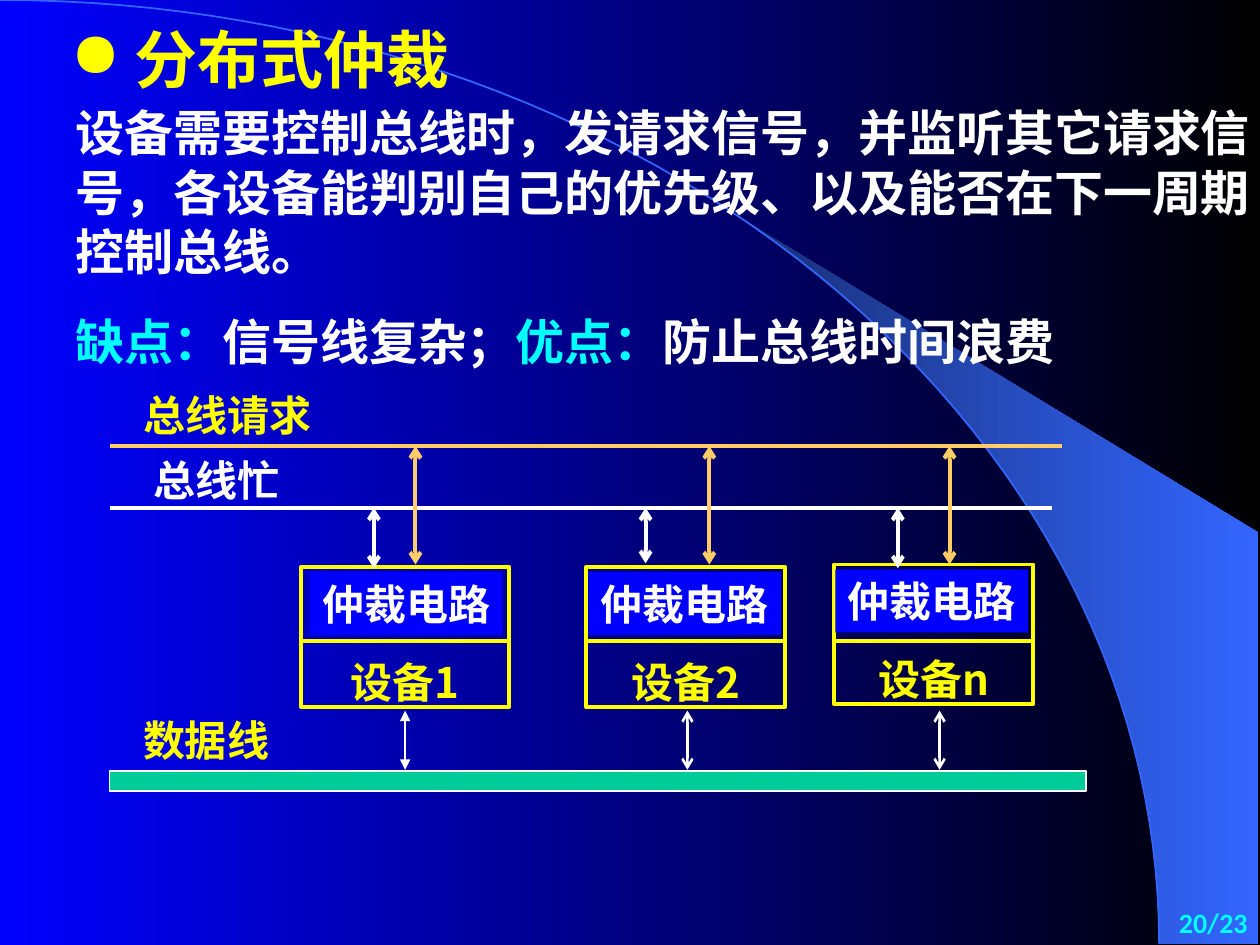
import math
from dataclasses import dataclass

from lxml import etree
from pptx import Presentation
from pptx import util as u
from pptx.dml.color import RGBColor
from pptx.enum import shapes, text
from pptx.oxml import ns

COLORS = {
    "blue": "0000FF", "black": "000000", "navy": "182F76", "sky": "3366FF",
    "yellow": "FFFF00", "white": "FFFFFF", "cyan": "00FFFF",
    "orange": "FFCC66", "green": "00CC99",
}
SANS, SERIF, LATIN = "Noto Sans CJK SC", "Times New Roman", "Calibri"
COLUMNS, ROWS = 100, 75
SLIDE_W, SLIDE_H = u.Inches(10), u.Inches(7.5)
REQUEST_ROW, BUSY_ROW, DATA_ROW = 35.4, 40.3, 61.2


@dataclass
class Device:
    """One device on the bus, with its arrows given as shares of its width."""
    name: str
    box: tuple
    busy: float
    request: float
    data: float
    circuit: float
    busy_end: float
    data_head: str = "arrow"


DEVICES = [
    Device("设备1", (23.9, 45, 16.5, 11.1), 0.35, 0.55, 0.5, 0.7, 45.1, "triangle"),
    Device("设备2", (46.5, 45, 15.8, 11.1), 0.3, 0.62, 0.51, 0.2, 44.7),
    Device("设备n", (66.2, 44.8, 15.8, 11.1), 0.32, 0.58, 0.53, 0.1, 45.1),
]


def rgb(name):
    """Return the named colour."""
    return RGBColor.from_string(COLORS[name])


def col(n):
    """Return the length of n grid columns."""
    return u.Emu(round(SLIDE_W * n / COLUMNS))


def row(n):
    """Return the length of n grid rows."""
    return u.Emu(round(SLIDE_H * n / ROWS))


def place(box):
    """Turn a grid box into left, top, width and height."""
    left, top, width, height = box
    return col(left), row(top), col(width), row(height)


def move(holder, box):
    """Put a placeholder on a grid box."""
    holder.left, holder.top, holder.width, holder.height = place(box)


def child(parent, tag, **attributes):
    """Add a DrawingML element below its parent."""
    return etree.SubElement(parent, ns.qn(tag), **attributes)


def write(paragraph, words, size=24, color="white", font=SANS):
    """Add one bold run to a paragraph."""
    run = paragraph.add_run()
    run.text = words
    run.font.size, run.font.bold, run.font.name = u.Pt(size), True, font
    run.font.color.rgb = rgb(color)
    child(run.font._element, "a:ea", typeface=SANS if font == SERIF else font)


def setup(frame, anchor=text.MSO_ANCHOR.MIDDLE, wrap=True):
    """Set anchor and wrapping, and return the first paragraph."""
    frame.word_wrap, frame.vertical_anchor = wrap, anchor
    frame.auto_size = text.MSO_AUTO_SIZE.NONE
    return frame.paragraphs[0]


def label(slide, box, words, align=text.PP_ALIGN.CENTER, **style):
    """Write one line in a text box."""
    paragraph = setup(slide.shapes.add_textbox(*place(box)).text_frame, wrap=False)
    paragraph.alignment = align
    write(paragraph, words, **style)


def paint(shape, fill=None, line=None, width=1):
    """Set the fill and outline of a shape."""
    shape.shadow.inherit = False
    if fill:
        shape.fill.solid()
        shape.fill.fore_color.rgb = rgb(fill)
    else:
        shape.fill.background()
    if line:
        shape.line.color.rgb, shape.line.width = rgb(line), u.Pt(width)
    else:
        shape.line.fill.background()


def block(slide, box, **look):
    """Add a rectangle on a grid box."""
    shape = slide.shapes.add_shape(shapes.MSO_SHAPE.RECTANGLE, *place(box))
    paint(shape, **look)
    return shape


def wire(slide, start, end, color, width=2.25, head=None):
    """Draw a straight line, with arrowheads at both ends if asked."""
    line = slide.shapes.add_connector(
        shapes.MSO_CONNECTOR.STRAIGHT, col(start[0]), row(start[1]), col(end[0]), row(end[1]))
    line.line.color.rgb, line.line.width = rgb(color), u.Pt(width)
    if head:
        for tag in ("a:headEnd", "a:tailEnd"):
            child(line.line._ln, tag, type=head)
    child(line._element.spPr, "a:effectLst")


def gradient(fill, *names):
    """Fill from left to right with two colours."""
    fill.gradient()
    fill.gradient_angle = 0
    for stop, name in zip(fill.gradient_stops, names):
        stop.color.rgb = rgb(name)


def arc(radii, first, steps=60):
    """Return points of a quarter ellipse from the first angle on."""
    angles = [first + (math.pi / 2 - first) * i / steps for i in range(steps + 1)]
    return [(col(radii[0] * math.sin(a)), row(radii[1] * (1 - math.cos(a)))) for a in angles]


def outline(slide, points, close):
    """Add a freeform behind everything else."""
    builder = slide.shapes.build_freeform(*points[0])
    builder.add_line_segments(points[1:], close=close)
    shape = builder.convert_to_shape()
    paint(shape)
    slide.shapes._spTree.insert(2, shape._element)
    return shape


def backdrop(slide, radii):
    """Paint the background with its arc and crescent."""
    gradient(slide.background.fill, "blue", "black")
    paint(outline(slide, arc(radii, 0), False), line="sky")
    corner = [(col(99.9), row(radii[1])), (col(99.9), row(42.3))]
    crescent = outline(slide, arc(radii, math.asin(58.9 / radii[0])) + corner, True)
    gradient(crescent.fill, "navy", "sky")


def heading(slide, box):
    """Fill the title with its bullet."""
    title = slide.shapes.title
    move(title, box)
    paragraph = setup(title.text_frame)
    paragraph.alignment = text.PP_ALIGN.LEFT
    properties = paragraph._p.get_or_add_pPr()
    child(child(properties, "a:buClr"), "a:srgbClr", val=COLORS["yellow"])
    child(properties, "a:buChar", char="●")
    write(paragraph, " 分布式仲裁", size=36, color="yellow")


def explanation(slide, box):
    """Fill the body with the method, its drawback and its benefit."""
    body = slide.placeholders[1]
    move(body, box)
    method = setup(body.text_frame, text.MSO_ANCHOR.TOP)
    verdict = body.text_frame.add_paragraph()
    write(method, "设备需要控制总线时，发请求信号，并监听其它请求信号，"
                  "各设备能判别自己的优先级、以及能否在下一周期控制总线。", size=28)
    for words, color in (("缺点：", "cyan"), ("信号线复杂；", "white"),
                         ("优点：", "cyan"), ("防止总线时间浪费", "white")):
        write(verdict, words, size=28, color=color)
    for paragraph in (method, verdict):
        paragraph.space_before, paragraph.line_spacing = u.Pt(17.5), u.Pt(34)
        properties = paragraph._p.get_or_add_pPr()
        properties.set("marL", "0")
        properties.set("indent", "0")
        child(properties, "a:buNone")


def buses(slide, left):
    """Draw the request, busy and data lines with their labels."""
    wire(slide, (left + 75.6, REQUEST_ROW), (left, REQUEST_ROW), "orange")
    wire(slide, (left + 74.8, BUSY_ROW), (left, BUSY_ROW), "white")
    block(slide, (left, DATA_ROW, 77.5, 1.6), fill="green", line="white")
    label(slide, (left + 1.7, 30.4, 15.3, 5), "总线请求", color="yellow")
    label(slide, (left + 2.5, 35.6, 12, 5), "总线忙")
    label(slide, (left + 0.9, 56.2, 13.5, 5), "数据线", color="yellow")


def device_unit(slide, device):
    """Draw a device with its arbitration circuit and arrows."""
    left, top, width, height = device.box
    frame = block(slide, device.box, line="yellow", width=2.25).text_frame
    paragraph = setup(frame, text.MSO_ANCHOR.BOTTOM)
    paragraph.alignment, frame.margin_bottom = text.PP_ALIGN.CENTER, 0
    write(paragraph, device.name, color="yellow")
    circuit = (left + device.circuit, top + 0.4, 15.3, 5)
    block(slide, circuit, fill="blue")
    label(slide, circuit, "仲裁电路", font=SERIF)
    wire(slide, (left, 50.9), (left + width, 50.9), "yellow")
    for share, start, end, color, weight, head in (
            (device.busy, BUSY_ROW, device.busy_end, "white", 2.25, "arrow"),
            (device.request, REQUEST_ROW, 44.8, "orange", 2.25, "arrow"),
            (device.data, 56.4, DATA_ROW - 0.1, "white", 1.5, device.data_head)):
        x = left + width * share
        wire(slide, (x, start), (x, end), color, weight, head)


def main():
    """Build the slide and save it."""
    deck = Presentation()
    deck.slide_width, deck.slide_height = SLIDE_W, SLIDE_H
    slide = deck.slides.add_slide(deck.slide_layouts[1])
    backdrop(slide, (92, 74.9))
    heading(slide, (4.6, 0.8, 38.3, 7.7))
    explanation(slide, (5, 7.6, 95.3, 22.1))
    buses(slide, 8.7)
    for device in DEVICES:
        device_unit(slide, device)
    label(slide, (79.2, 71.4, 20.8, 3.6), "20/23", text.PP_ALIGN.RIGHT,
          size=16, color="cyan", font=LATIN)
    deck.save("out.pptx")


if __name__ == "__main__":
    main()
